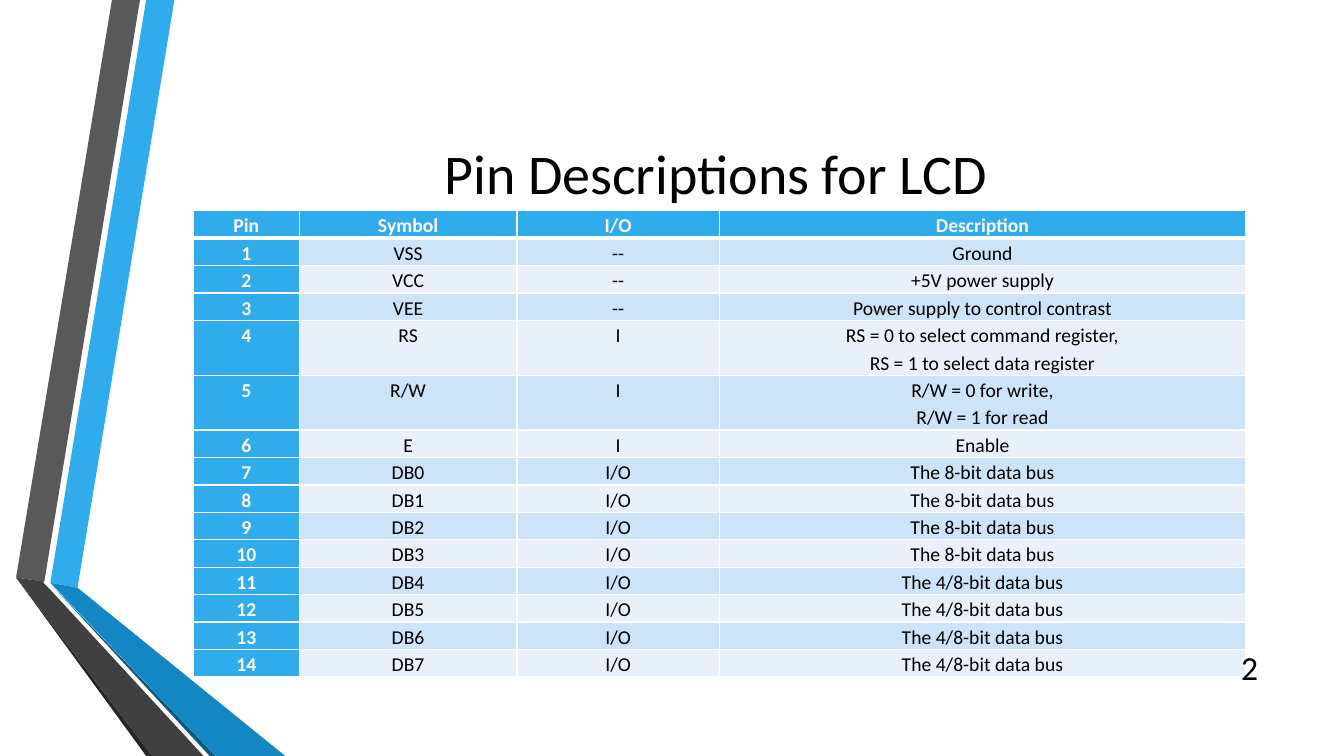
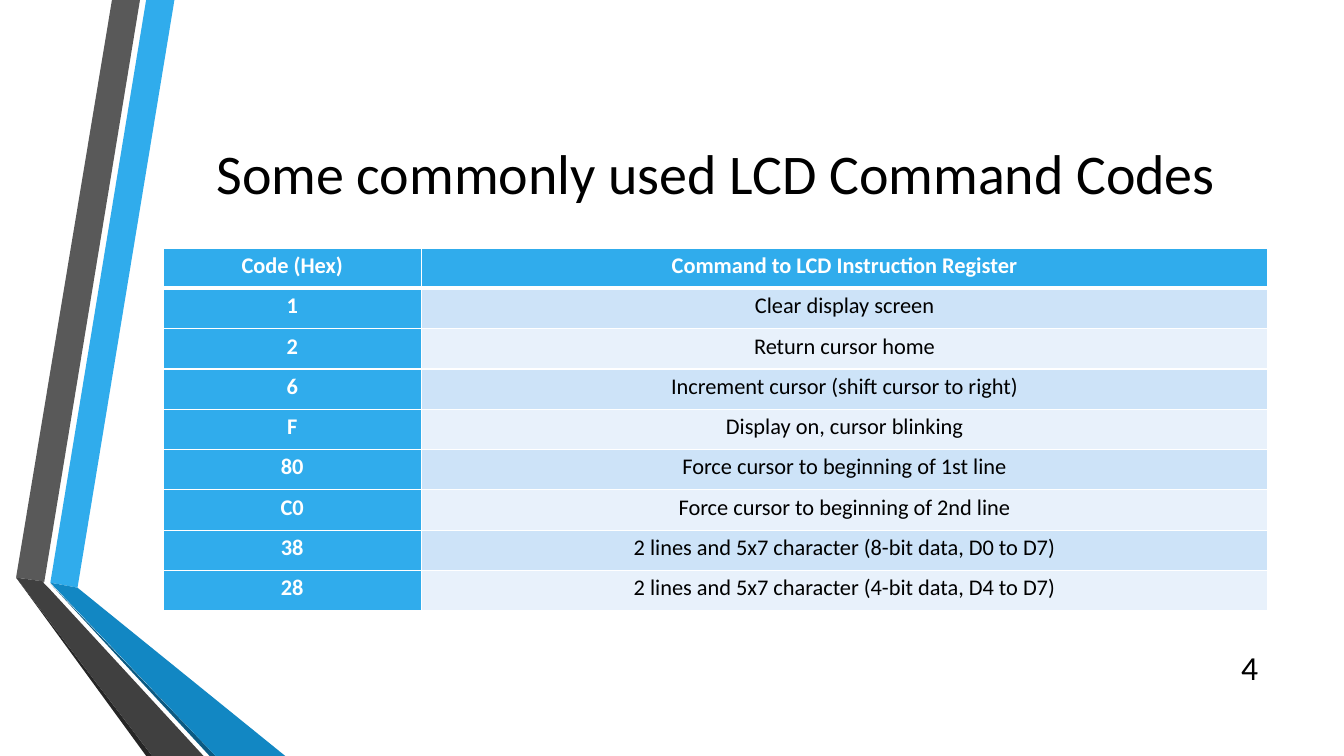
"""Build two slides of reference tables for a character LCD."""
from dataclasses import dataclass
from typing import Any

from lxml.etree import SubElement
from pptx import Presentation
from pptx.dml.color import RGBColor
from pptx.enum.text import MSO_ANCHOR, PP_ALIGN
from pptx.oxml.ns import qn
from pptx.slide import Slide, SlideLayout
from pptx.table import _Cell
from pptx.util import Pt


@dataclass(frozen=True)
class Theme:
    font: str = "Calibri"
    accent: str = "30ACEC"
    accent_dark: str = "1287C3"
    accent_shadow: str = "0C5A82"
    gray: str = "595959"
    gray_dark: str = "404040"
    gray_shadow: str = "262626"
    stripe_dark: str = "CDE3F8"
    stripe_light: str = "E8F1FB"
    white: str = "FFFFFF"
    black: str = "000000"
    title_size: float = 40
    number_size: float = 24
    line_spacing: float = 1.15
    cell_inset: float = 5
    border: float = 1
    header_border: float = 3


@dataclass(frozen=True)
class Band:
    color: str
    points: tuple[tuple[float, float], ...]


@dataclass(frozen=True)
class Box:
    left: float
    top: float
    width: float
    height: float


@dataclass(frozen=True)
class TableSlide:
    title: str
    number: int
    left: float
    top: float
    column_widths: tuple[float, ...]
    row_height: float
    text_size: float
    rows: tuple[tuple[str, ...], ...]


THEME = Theme()
SLIDE_WIDTH, SLIDE_HEIGHT = 960, 540
TITLE_BOX = Box(116.6, 54, 789.1, 138.2)
NUMBER_BOX = Box(862.6, 462.2, 43.2, 28.8)

BANDS = (
    Band(THEME.accent, ((36, 416.2), (55.4, 419.8), (124.6, 0), (104.4, 0))),
    Band(THEME.gray, ((100, 0), (80, 0), (11.5, 412.6), (31.7, 415.4))),
    Band(THEME.gray_shadow, ((11.5, 412.6), (104.4, 540), (108.7, 540))),
    Band(THEME.accent_shadow, ((36, 416.9), (149.8, 540), (154.1, 540))),
    Band(THEME.accent_dark, ((36, 416.2), (154.1, 540), (203.8, 540), (55.4, 419.8))),
    Band(THEME.gray_dark, ((11.5, 412.6), (108.7, 540), (145.4, 540),
                           (34.6, 419.8), (31, 416.2), (31.7, 415.4))),
)

DATA_BUS_ROWS = tuple(
    (str(7 + bit), f"DB{bit}", "I/O", f"The {'8' if bit < 4 else '4/8'}-bit data bus")
    for bit in range(8)
)

TABLE_SLIDES = (
    TableSlide(
        "Pin Descriptions for LCD", 2, 138.2, 150.5, (75.6, 155.5, 144.7, 375.8), 19.6, 14,
        (
            ("Pin", "Symbol", "I/O", "Description"),
            ("1", "VSS", "--", "Ground"),
            ("2", "VCC", "--", "+5V power supply"),
            ("3", "VEE", "--", "Power supply to control contrast"),
            ("4", "RS", "I",
             "RS = 0 to select command register,\nRS = 1 to select data register"),
            ("5", "R/W", "I", "R/W = 0 for write,\nR/W = 1 for read"),
            ("6", "E", "I", "Enable"),
        ) + DATA_BUS_ROWS,
    ),
    TableSlide(
        "Some commonly used LCD Command Codes", 4, 116.6, 177.1, (184.3, 604.8), 28.8, 16,
        (
            ("Code (Hex)", "Command to LCD Instruction Register"),
            ("1", "Clear display screen"),
            ("2", "Return cursor home"),
            ("6", "Increment cursor (shift cursor to right)"),
            ("F", "Display on, cursor blinking"),
            ("80", "Force cursor to beginning of 1st line"),
            ("C0", "Force cursor to beginning of 2nd line"),
            ("38", "2 lines and 5x7 character (8-bit data, D0 to D7)"),
            ("28", "2 lines and 5x7 character (4-bit data, D4 to D7)"),
        ),
    ),
)


def apply_format(target: Any, values: dict[str, Any]) -> None:
    for name, value in values.items():
        setattr(target, name, value)


def write_text(text_frame: Any, text: str, size: float, color: str,
               paragraph_format: dict[str, Any], bold: bool = False) -> None:
    text_frame.text = text
    for paragraph in text_frame.paragraphs:
        apply_format(paragraph, paragraph_format)
        for run in paragraph.runs:
            apply_format(run.font, {"name": THEME.font, "size": Pt(size), "bold": bold})
            run.font.color.rgb = RGBColor.from_string(color)


def add_text(slide: Slide, box: Box, text: str, size: float, alignment: PP_ALIGN) -> None:
    shape = slide.shapes.add_textbox(Pt(box.left), Pt(box.top), Pt(box.width), Pt(box.height))
    apply_format(shape.text_frame, {"word_wrap": True, "vertical_anchor": MSO_ANCHOR.MIDDLE})
    write_text(shape.text_frame, text, size, THEME.black, {"alignment": alignment})


def add_bands(slide: Slide, layout: SlideLayout) -> None:
    group = slide.shapes.add_group_shape()
    for band in BANDS:
        start, *others = [(Pt(x), Pt(y)) for x, y in band.points]
        builder = group.shapes.build_freeform(*start, scale=1.0)
        builder.add_line_segments(others, close=True)
        shape = builder.convert_to_shape()
        shape.shadow.inherit = False
        shape.fill.solid()
        shape.fill.fore_color.rgb = RGBColor.from_string(band.color)
        shape.line.fill.background()
    layout.shapes.element.append(group.element)


def add_borders(cell: _Cell, row_index: int) -> None:
    widths = {
        "a:lnL": THEME.border,
        "a:lnR": THEME.border,
        "a:lnT": THEME.header_border if row_index == 1 else THEME.border,
        "a:lnB": THEME.header_border if row_index == 0 else THEME.border,
    }
    properties = cell._tc.get_or_add_tcPr()
    for tag, width in widths.items():
        line = SubElement(properties, qn(tag), w=str(Pt(width)))
        fill = SubElement(line, qn("a:solidFill"))
        SubElement(fill, qn("a:srgbClr"), val=THEME.white)


def format_cell(cell: _Cell, text: str, row_index: int, column_index: int, size: float) -> None:
    is_heading = row_index == 0 or column_index == 0
    stripe = THEME.stripe_dark if row_index % 2 else THEME.stripe_light
    inset = Pt(THEME.cell_inset)
    apply_format(cell, {
        "margin_left": inset,
        "margin_right": inset,
        "margin_top": 0,
        "margin_bottom": 0,
        "vertical_anchor": MSO_ANCHOR.TOP,
    })
    add_borders(cell, row_index)
    cell.fill.solid()
    cell.fill.fore_color.rgb = RGBColor.from_string(THEME.accent if is_heading else stripe)
    write_text(cell.text_frame, text, size, THEME.white if is_heading else THEME.black,
               {"alignment": PP_ALIGN.CENTER, "line_spacing": THEME.line_spacing}, is_heading)


def add_table(slide: Slide, content: TableSlide) -> None:
    line_counts = [max(text.count("\n") + 1 for text in row) for row in content.rows]
    table = slide.shapes.add_table(
        len(content.rows), len(content.column_widths), Pt(content.left), Pt(content.top),
        Pt(sum(content.column_widths)), Pt(content.row_height * sum(line_counts)),
    ).table
    table.horz_banding = False
    for column, width in zip(table.columns, content.column_widths):
        column.width = Pt(width)
    for row_index, (row, texts) in enumerate(zip(table.rows, content.rows)):
        row.height = Pt(content.row_height * line_counts[row_index])
        for column_index, text in enumerate(texts):
            format_cell(table.cell(row_index, column_index), text,
                        row_index, column_index, content.text_size)


def main() -> None:
    presentation = Presentation()
    apply_format(presentation, {"slide_width": Pt(SLIDE_WIDTH), "slide_height": Pt(SLIDE_HEIGHT)})
    layout = presentation.slide_layouts[6]
    slides = [presentation.slides.add_slide(layout) for _ in TABLE_SLIDES]
    add_bands(slides[0], layout)
    for slide, content in zip(slides, TABLE_SLIDES):
        add_text(slide, TITLE_BOX, content.title, THEME.title_size, PP_ALIGN.CENTER)
        add_table(slide, content)
        add_text(slide, NUMBER_BOX, str(content.number), THEME.number_size, PP_ALIGN.RIGHT)
    presentation.save("out.pptx")


if __name__ == "__main__":
    main()
